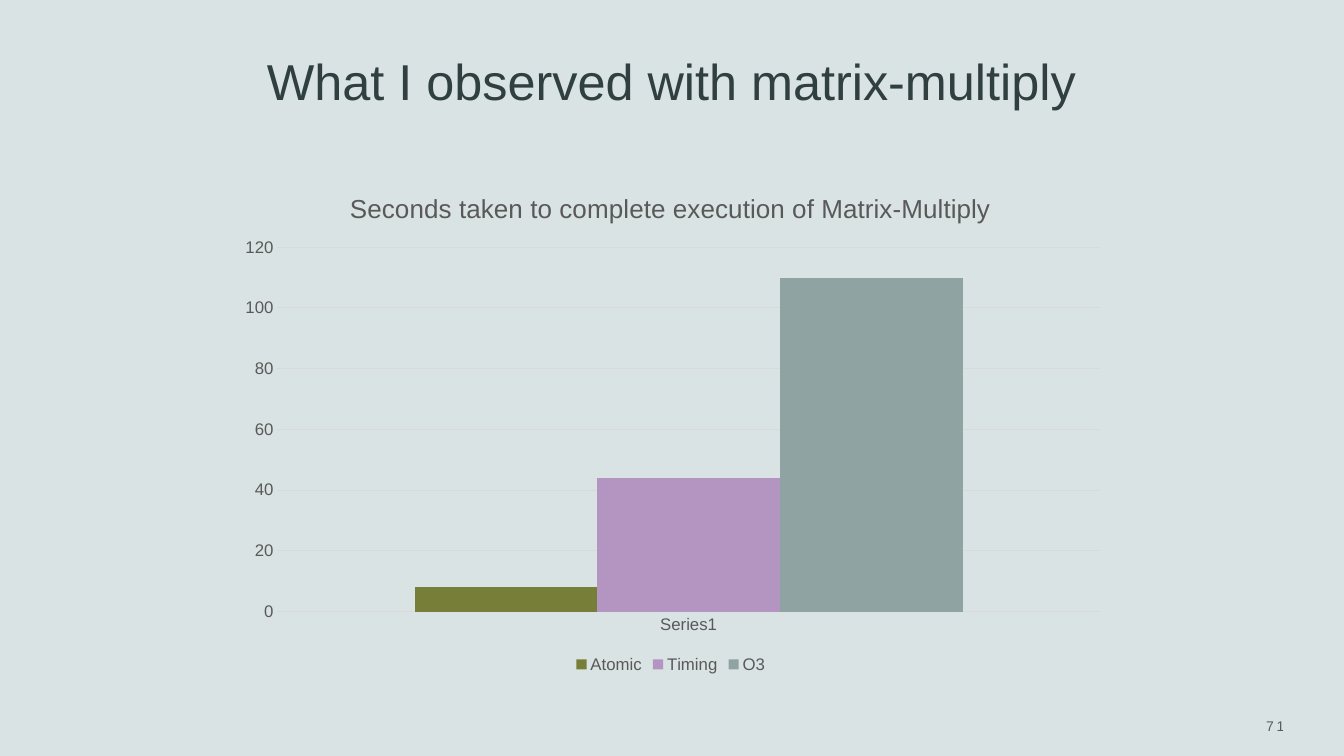
from dataclasses import dataclass

from lxml.etree import SubElement
from pptx import Presentation
from pptx.chart.chart import Chart
from pptx.chart.data import CategoryChartData
from pptx.dml.color import RGBColor
from pptx.enum.chart import XL_CHART_TYPE as ChartType
from pptx.enum.chart import XL_LEGEND_POSITION as LegendPosition
from pptx.enum.chart import XL_TICK_MARK as TickMark
from pptx.enum.text import MSO_ANCHOR as Anchor
from pptx.enum.text import PP_ALIGN as Align
from pptx.oxml import parse_xml
from pptx.oxml.ns import nsdecls, qn
from pptx.slide import Slide
from pptx.text.text import Font
from pptx.util import Cm, Pt


@dataclass(frozen=True)
class Theme:
    font: str = "Arial"
    background: str = "DAE3E3"
    heading: str = "303F3F"
    label: str = "595959"
    grid: str = "D9D9D9"
    page: str = "000000"
    heading_size: float = 36
    chart_title_size: float = 18.6
    label_size: float = 12
    page_size: float = 10


@dataclass(frozen=True)
class CpuModel:
    name: str
    seconds: int
    color: str


@dataclass(frozen=True)
class Box:
    left: float
    top: float
    width: float
    height: float

    def lengths(self) -> tuple[Cm, Cm, Cm, Cm]:
        return Cm(self.left), Cm(self.top), Cm(self.width), Cm(self.height)


THEME = Theme()
CPU_MODELS = (
    CpuModel("Atomic", 8, "767E37"),
    CpuModel("Timing", 44, "B495C2"),
    CpuModel("O3", 110, "8FA3A3"),
)
HEADING_BOX = Box(2.74, 1.09, 28.37, 1.83)
PAGE_BOX = Box(27.74, 17.65, 4.88, 1.27)
CHART_BOX = Box(5.64, 4.32, 22.53, 12.75)
PLOT_SHARE = {"x": 0.06, "y": 0.15, "w": 0.92, "h": 0.72}


def style_font(font: Font, size: float, color: str) -> None:
    font.name = THEME.font
    font.size = Pt(size)
    font.bold = False
    font.color.rgb = RGBColor.from_string(color)


def add_heading(slide: Slide, text: str) -> None:
    heading = slide.shapes.title
    heading.left, heading.top, heading.width, heading.height = HEADING_BOX.lengths()
    frame = heading.text_frame
    frame.text = text
    frame.word_wrap = True
    frame.vertical_anchor = Anchor.BOTTOM
    paragraph = frame.paragraphs[0]
    paragraph.alignment = Align.CENTER
    style_font(paragraph.font, THEME.heading_size, THEME.heading)


def add_page_number(slide: Slide, number: str) -> None:
    frame = slide.shapes.add_textbox(*PAGE_BOX.lengths()).text_frame
    frame.word_wrap = True
    frame.vertical_anchor = Anchor.MIDDLE
    paragraph = frame.paragraphs[0]
    paragraph.alignment = Align.RIGHT
    digits = paragraph.add_run()
    digits.text = number
    style_font(digits.font, THEME.page_size, THEME.page)
    properties = digits._r.get_or_add_rPr()
    properties.set("spc", "200")
    color = properties.find(".//" + qn("a:srgbClr"))
    SubElement(color, qn("a:alpha")).set("val", "60000")


def place_plot(chart: Chart) -> None:
    sides = "".join(f'<c:{side}Mode val="edge"/>' for side in "xy")
    shares = "".join(f'<c:{side} val="{share}"/>' for side, share in PLOT_SHARE.items())
    layout = parse_xml(
        f'<c:layout {nsdecls("c")}><c:manualLayout><c:layoutTarget val="inner"/>'
        f"{sides}{shares}</c:manualLayout></c:layout>"
    )
    plot_area = chart._chartSpace.chart.plotArea
    for automatic in plot_area.findall(qn("c:layout")):
        plot_area.remove(automatic)
    plot_area.insert(0, layout)


def add_timing_chart(slide: Slide, title: str, category: str) -> None:
    timings = CategoryChartData()
    timings.categories = [category]
    for model in CPU_MODELS:
        timings.add_series(model.name, [model.seconds])
    chart = slide.shapes.add_chart(
        ChartType.COLUMN_CLUSTERED, *CHART_BOX.lengths(), timings
    ).chart
    style_font(chart.font, THEME.label_size, THEME.label)

    chart.has_title = True
    chart.chart_title.include_in_layout = False
    title_frame = chart.chart_title.text_frame
    title_frame.text = title
    style_font(title_frame.paragraphs[0].font, THEME.chart_title_size, THEME.label)

    chart.has_legend = True
    chart.legend.position = LegendPosition.BOTTOM
    chart.legend.include_in_layout = False
    style_font(chart.legend.font, THEME.label_size, THEME.label)

    for axis in (chart.category_axis, chart.value_axis):
        axis.major_tick_mark = axis.minor_tick_mark = TickMark.NONE
        axis.format.line.fill.background()
        style_font(axis.tick_labels.font, THEME.label_size, THEME.label)
    seconds_axis = chart.value_axis
    seconds_axis.minimum_scale, seconds_axis.maximum_scale = 0, 120
    seconds_axis.major_unit = 20
    grid_line = seconds_axis.major_gridlines.format.line
    grid_line.width = Pt(0.75)
    grid_line.color.rgb = RGBColor.from_string(THEME.grid)

    columns = chart.plots[0]
    columns.gap_width = 150
    columns.overlap = 0
    columns.vary_by_categories = False
    for series, model in zip(columns.series, CPU_MODELS):
        series.format.fill.solid()
        series.format.fill.fore_color.rgb = RGBColor.from_string(model.color)
    place_plot(chart)


def main() -> None:
    deck = Presentation()
    deck.slide_width, deck.slide_height = Cm(33.87), Cm(19.05)
    slide = deck.slides.add_slide(deck.slide_layouts[5])
    slide.background.fill.solid()
    slide.background.fill.fore_color.rgb = RGBColor.from_string(THEME.background)
    add_heading(slide, "What I observed with matrix-multiply")
    add_page_number(slide, "71")
    add_timing_chart(
        slide, "Seconds taken to complete execution of Matrix-Multiply", "Series1"
    )
    deck.save("out.pptx")


if __name__ == "__main__":
    main()
